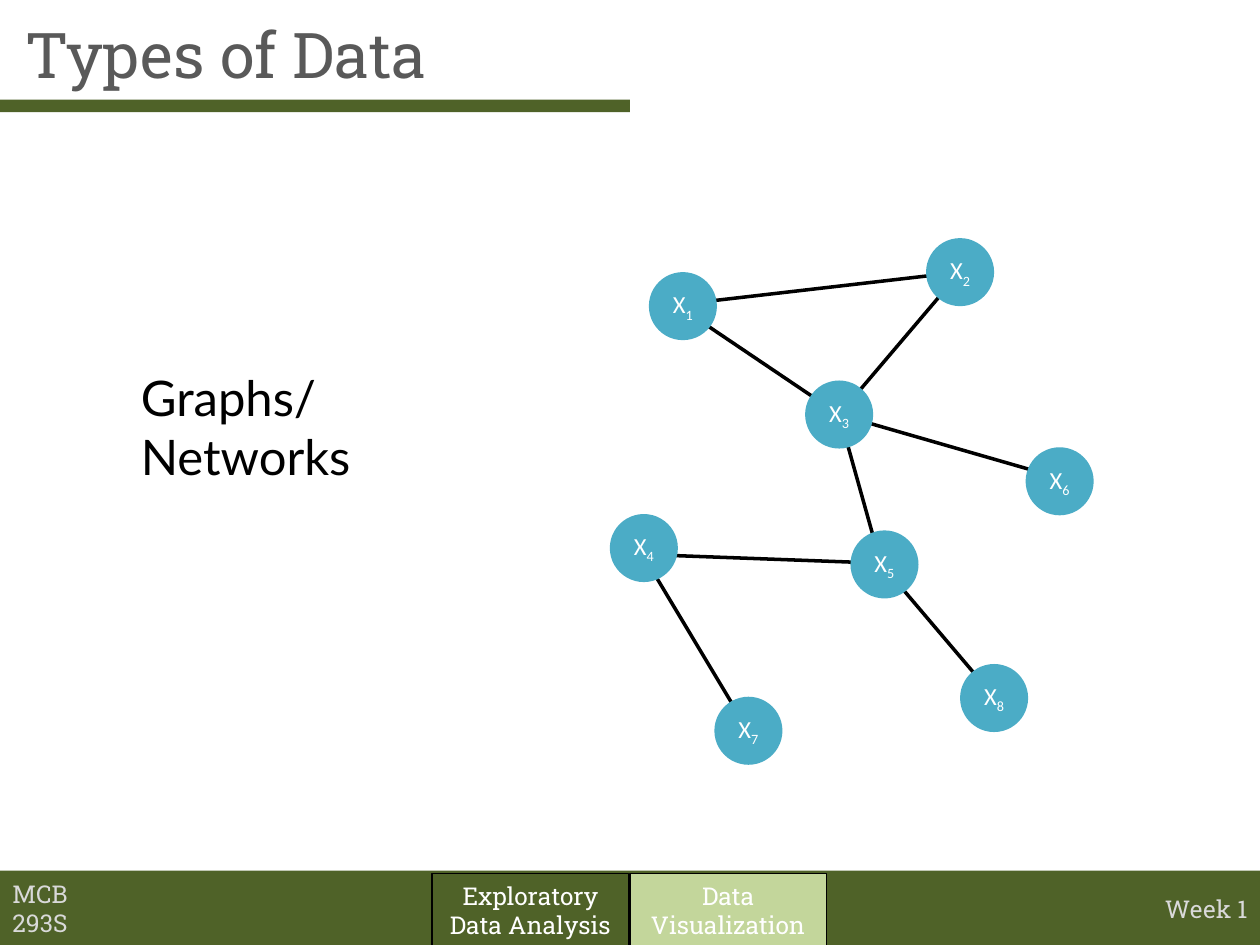
from dataclasses import dataclass

from lxml.etree import SubElement
from pptx import Presentation
from pptx.dml.color import RGBColor
from pptx.enum.shapes import MSO_CONNECTOR, MSO_SHAPE
from pptx.enum.text import MSO_ANCHOR, MSO_AUTO_SIZE, PP_ALIGN
from pptx.oxml.ns import qn
from pptx.util import Inches, Pt

GREEN, LIGHT_GREEN, BLUE = "4F6228", "C3D69B", "4BACC6"
BLACK, WHITE, GRAY, PALE = "000000", "FFFFFF", "595959", "D9D9D9"
SLAB = "Roboto Slab"
NODE_SIZE = 0.54


@dataclass
class Node:
    """A graph node: its corner, and the point where its edges meet."""
    left: float
    top: float
    edge_x: float
    edge_y: float


@dataclass
class Style:
    font: str
    size: int
    color: str
    align: PP_ALIGN = PP_ALIGN.LEFT


NODES = {
    1: Node(5.15, 2.16, 5.37, 2.42),
    2: Node(7.35, 1.89, 7.62, 2.16),
    3: Node(6.39, 3.02, 6.66, 3.29),
    4: Node(4.84, 4.08, 5.10, 4.40),
    5: Node(6.75, 4.21, 6.99, 4.47),
    6: Node(8.14, 3.55, 8.43, 3.80),
    7: Node(5.67, 5.53, 5.94, 5.80),
    8: Node(7.62, 5.27, 7.89, 5.53),
}
EDGES = [(1, 2), (3, 1), (7, 4), (5, 4), (3, 5), (2, 3), (6, 3), (8, 5)]


def rgb(color: str) -> RGBColor:
    return RGBColor.from_string(color)


def format_paragraph(p, style: Style) -> None:
    p.alignment = style.align
    p.font.name = style.font
    p.font.size = Pt(style.size)
    p.font.color.rgb = rgb(style.color)


def write(sp, lines: list[str], style: Style, anchor=MSO_ANCHOR.MIDDLE) -> None:
    tf = sp.text_frame
    tf.word_wrap = True
    tf.auto_size = MSO_AUTO_SIZE.NONE
    tf.vertical_anchor = anchor
    tf.text = "\n".join(lines)
    for p in tf.paragraphs:
        format_paragraph(p, style)


def add_text(s, box: tuple, lines: list[str], style: Style, anchor=MSO_ANCHOR.MIDDLE):
    sp = s.shapes.add_textbox(*map(Inches, box))
    write(sp, lines, style, anchor)
    return sp


def add_block(s, box: tuple, fill: str, kind=MSO_SHAPE.RECTANGLE, line: str = ""):
    sp = s.shapes.add_shape(kind, *map(Inches, box))
    sp.shadow.inherit = False
    sp.fill.solid()
    sp.fill.fore_color.rgb = rgb(fill)
    if line:
        sp.line.color.rgb = rgb(line)
        sp.line.width = Pt(0.75)
    else:
        sp.line.fill.background()
    return sp


def add_edge(s, start: Node, end: Node) -> None:
    ends = (start.edge_x, start.edge_y, end.edge_x, end.edge_y)
    edge = s.shapes.add_connector(MSO_CONNECTOR.STRAIGHT, *map(Inches, ends))
    edge.line.color.rgb = rgb(BLACK)
    edge.line.width = Pt(2)
    SubElement(edge._element.spPr, qn("a:effectLst"))


def add_node(s, number: int, node: Node) -> None:
    box = (node.left, node.top, NODE_SIZE, NODE_SIZE)
    sp = add_block(s, box, BLUE, MSO_SHAPE.OVAL)
    write(sp, ["X"], Style("Calibri", 14, WHITE, PP_ALIGN.CENTER))
    tf = sp.text_frame
    tf.margin_left = tf.margin_right = 0
    r = tf.paragraphs[0].add_run()
    r.text = str(number)
    r.font._element.set("baseline", "-25000")


def main() -> None:
    prs = Presentation()
    prs.slide_width, prs.slide_height = Inches(10), Inches(7.5)
    s = prs.slides.add_slide(prs.slide_layouts[5])

    # Title and bars
    title = s.shapes.title
    title.left, title.top = Inches(0.1), Inches(0)
    title.width, title.height = Inches(9.79), Inches(0.84)
    write(title, ["Types of Data"], Style(SLAB, 36, GRAY))
    add_block(s, (0, 0.79, 5, 0.1), GREEN)
    add_block(s, (0, 6.91, 10, 0.59), GREEN)

    # Graph, with the edges behind the nodes
    for start, end in EDGES:
        add_edge(s, NODES[start], NODES[end])
    add_text(s, (1.02, 2.87, 1.95, 1.04), ["Graphs/", "Networks"],
             Style("Lato", 28, BLACK), MSO_ANCHOR.TOP)
    for number, node in NODES.items():
        add_node(s, number, node)

    # Footer
    add_text(s, (0, 7.04, 1.11, 0.34), ["MCB 293S"], Style(SLAB, 14, PALE))
    tab_style = Style(SLAB, 14, WHITE, PP_ALIGN.CENTER)
    tabs = [(3.43, GREEN, ["Exploratory", "Data Analysis"]),
            (5, LIGHT_GREEN, ["Data Visualization"])]
    for left, fill, lines in tabs:
        tab = add_block(s, (left, 6.93, 1.56, 0.59), fill, line=BLACK)
        write(tab, lines, tab_style)
    week = add_text(s, (9.13, 7.04, 0.87, 0.34), ["Week 1"],
                    Style(SLAB, 14, PALE, PP_ALIGN.RIGHT))
    week.text_frame.margin_left = 0

    prs.save("out.pptx")


if __name__ == "__main__":
    main()
